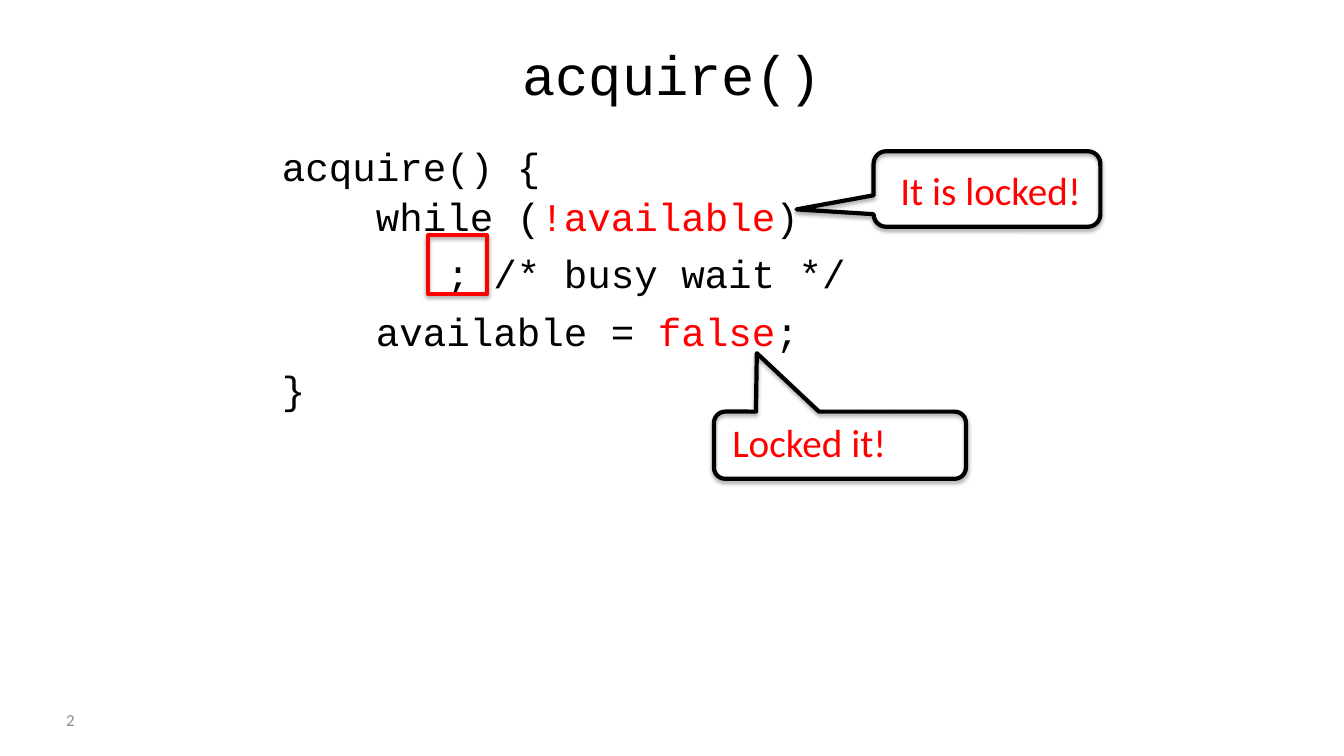
import pptx
import pptx.dml.color
import pptx.enum.shapes
import pptx.enum.text
import pptx.oxml
import pptx.util

SHAPE = pptx.enum.shapes.MSO_SHAPE
ANCHOR = pptx.enum.text.MSO_ANCHOR
ALIGN = pptx.enum.text.PP_ALIGN
COLORS = {"ink": "000000", "alert": "FF0000", "number": "8C8C8C"}
CODE = [
    [("   acquire() {", "ink")],
    [("       while (", "ink"), ("!available", "alert"), (")", "ink")],
    [("          ; /* busy wait */", "ink")],
    [("       available = ", "ink"), ("false", "alert"), (";", "ink")],
    [("   }", "ink")],
]
SHADOW = (
    '<a:effectLst xmlns:a="http://schemas.openxmlformats.org/drawingml/2006/main">'
    '<a:outerShdw blurRad="39370" dist="22860" dir="5400000" rotWithShape="0">'
    '<a:srgbClr val="%s"><a:alpha val="35000"/></a:srgbClr>'
    '</a:outerShdw></a:effectLst>'
)


class SlideBuilder:
    """Draws styled elements on a slide grid of 160 columns by 90 rows."""

    def __init__(self, prs):
        self.s = prs.slides.add_slide(prs.slide_layouts[6])
        self.col = prs.slide_width / 160
        self.row = prs.slide_height / 90

    def place(self, x, y, w, h):
        return [round(v) for v in (x * self.col, y * self.row, w * self.col, h * self.row)]

    def color(self, name):
        return pptx.dml.color.RGBColor.from_string(COLORS[name])

    def text(self, box, lines, size, font="Calibri", align=ALIGN.LEFT,
             anchor=ANCHOR.TOP, spacing=1.0, before=()):
        tf = self.s.shapes.add_textbox(*self.place(*box)).text_frame
        tf.word_wrap = True
        tf.vertical_anchor = anchor
        for i, line in enumerate(lines):
            p = tf.add_paragraph() if i else tf.paragraphs[0]
            p.alignment = align
            p.line_spacing = spacing
            if before:
                p.space_before = pptx.util.Pt(before[i])
            p.font.size = pptx.util.Pt(size)
            p.font.name = font
            shared = len({color for _, color in line}) == 1
            if shared:
                p.font.color.rgb = self.color(line[0][1])
            for words, color in line:
                r = p.add_run()
                r.text = words
                if not shared:
                    r.font.color.rgb = self.color(color)

    def outline(self, kind, box, color, adjustments=()):
        sp = self.s.shapes.add_shape(kind, *self.place(*box))
        for i, value in enumerate(adjustments):
            sp.adjustments[i] = value
        sp.fill.background()
        sp.line.color.rgb = self.color(color)
        sp.line.width = pptx.util.Pt(3)
        sp._element.spPr.append(pptx.oxml.parse_xml(SHADOW % COLORS["ink"]))

    def callout(self, box, tip, words, text_box):
        self.text(text_box, [[(words, "alert")]], 28)
        self.outline(SHAPE.ROUNDED_RECTANGULAR_CALLOUT, box, "ink", (*tip, 0.167))


def main():
    prs = pptx.Presentation()
    prs.slide_width = pptx.util.Inches(13.33)
    prs.slide_height = pptx.util.Inches(7.5)
    slide = SlideBuilder(prs)
    slide.text((26, 5, 108, 7.5), [[("acquire()", "ink")]], 39.6,
               font="Courier New", align=ALIGN.CENTER, anchor=ANCHOR.MIDDLE)
    slide.text((24, 16, 113, 71), CODE, 28, font="Courier New",
               spacing=1.06, before=(0, 0, 5.6, 5.6, 5.6))
    slide.callout((85, 49, 30, 8), (-0.33, -1.37), "Locked it!", (86, 49.2, 27, 7))
    slide.callout((104, 18, 27, 9), (-0.84, 0.27), "It is locked!", (106, 19.2, 25, 7))
    slide.text((6.7, 83.3, 37.3, 4.8), [[("2", "number")]], 12, anchor=ANCHOR.MIDDLE)
    slide.outline(SHAPE.RECTANGLE, (51, 28, 7, 7), "alert")
    prs.save("out.pptx")


if __name__ == "__main__":
    main()
